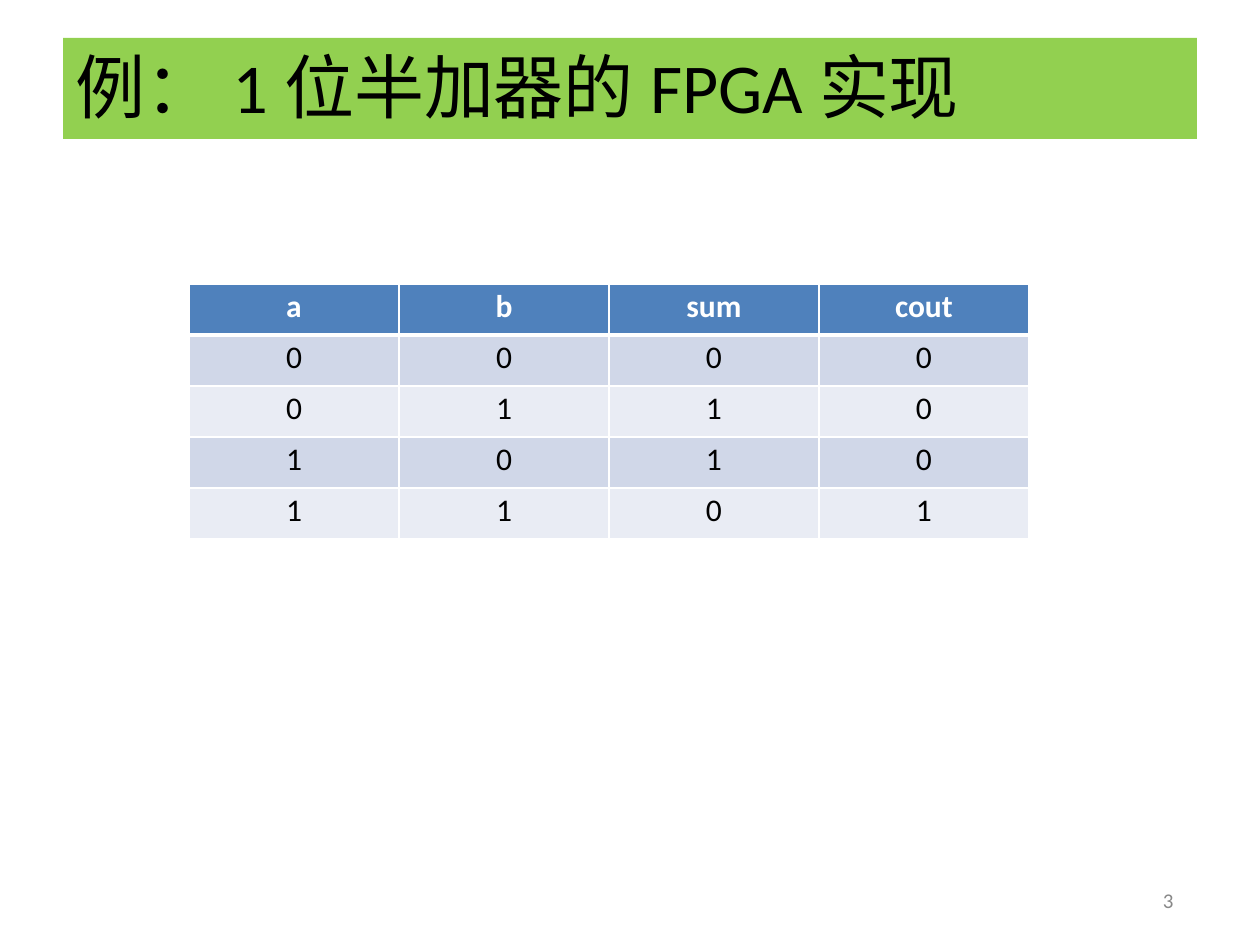
from dataclasses import dataclass

from lxml.etree import SubElement
from pptx import Presentation
from pptx.dml.color import RGBColor
from pptx.enum.text import MSO_ANCHOR, MSO_AUTO_SIZE, PP_ALIGN
from pptx.oxml.ns import qn
from pptx.util import Emu, Pt

SCALE = 914400 // 126
LATIN = "Calibri"
CHINESE = "Noto Sans CJK SC"
COLUMN_WIDTH = 210
ROW_HEIGHT = 51


@dataclass
class RowStyle:
    fill: str
    color: str
    bold: bool
    top: float
    bottom: float


@dataclass
class Span:
    text: str
    font: str


HEADER = RowStyle("4F81BC", "FFFFFF", True, 1, 3)
FIRST = RowStyle("D0D7E8", "000000", False, 3, 1)
ODD = RowStyle("D0D7E8", "000000", False, 1, 1)
EVEN = RowStyle("E9ECF4", "000000", False, 1, 1)

TITLE = [
    Span("例：", CHINESE),
    Span("1", LATIN),
    Span("位半加器的", CHINESE),
    Span("FPGA", LATIN),
    Span("实现", CHINESE),
]
TRUTH_TABLE = [
    (HEADER, ("a", "b", "sum", "cout")),
    (FIRST, "0000"),
    (EVEN, "0110"),
    (ODD, "1010"),
    (EVEN, "1101"),
]


def px(length: int) -> Emu:
    return Emu(length * SCALE)


def paint(target, color: str) -> None:
    target.solid()
    target.fore_color.rgb = RGBColor.from_string(color)


def set_font(font, size: float, color: str, bold: bool = False) -> None:
    font.name = LATIN
    font.size = Pt(size)
    font.bold = bold
    paint(font.fill, color)


def set_frame(frame, top: int = 0) -> None:
    frame.margin_left = frame.margin_right = frame.margin_bottom = 0
    frame.margin_top = px(top)
    frame.vertical_anchor = MSO_ANCHOR.TOP
    frame.word_wrap = True
    frame.auto_size = MSO_AUTO_SIZE.NONE


def add_title(page) -> None:
    title = page.shapes.title
    title.left, title.top, title.width, title.height = map(px, (63, 38, 1134, 101))
    paint(title.fill, "92D050")
    set_frame(title.text_frame, 5)
    para = title.text_frame.paragraphs[0]
    para.alignment = PP_ALIGN.LEFT
    para.space_before = Pt(3.1)
    properties = para._p.get_or_add_pPr()
    properties.set("marL", str(px(13)))
    properties.set("indent", "0")
    set_font(para.font, 40, "000000")
    for span in TITLE:
        run = para.add_run()
        run.text = span.text
        run.font.name = span.font
        run_properties = run._r.get_or_add_rPr()
        run_properties.set("spc", "-10")
        SubElement(run_properties, qn("a:ea"), typeface=span.font)


def add_border(cell, side: str, width: float) -> None:
    line = SubElement(cell._tc.get_or_add_tcPr(), qn(f"a:{side}"), w=str(Pt(width)))
    SubElement(SubElement(line, qn("a:solidFill")), qn("a:srgbClr"), val="FFFFFF")


def fill_cell(cell, text: str, style: RowStyle) -> None:
    cell.margin_left = cell.margin_right = cell.margin_bottom = 0
    cell.margin_top = px(4)
    borders = {"lnL": 1, "lnR": 1, "lnT": style.top, "lnB": style.bottom}
    for side, width in borders.items():
        add_border(cell, side, width)
    paint(cell.fill, style.fill)
    cell.text = text
    para = cell.text_frame.paragraphs[0]
    para.alignment = PP_ALIGN.CENTER
    para.space_before = Pt(2.4)
    set_font(para.font, 18, style.color, style.bold)


def add_truth_table(page) -> None:
    rows, columns = len(TRUTH_TABLE), len(TRUTH_TABLE[0][1])
    table = page.shapes.add_table(
        rows, columns, px(189), px(284),
        px(columns * COLUMN_WIDTH), px(rows * ROW_HEIGHT),
    ).table
    for row, (style, values) in enumerate(TRUTH_TABLE):
        for column, value in enumerate(values):
            fill_cell(table.cell(row, column), value, style)


def add_page_number(page) -> None:
    box = page.shapes.add_textbox(px(1158), px(891), px(32), px(24))
    set_frame(box.text_frame)
    para = box.text_frame.paragraphs[0]
    para.text = "3"
    para.line_spacing = Pt(12.4)
    para._p.get_or_add_pPr().set("marL", str(px(5)))
    set_font(para.font, 12, "888888")


deck = Presentation()
deck.slide_width, deck.slide_height = px(1260), px(945)
page = deck.slides.add_slide(deck.slide_layouts[5])
add_title(page)
add_truth_table(page)
add_page_number(page)
deck.save("out.pptx")
